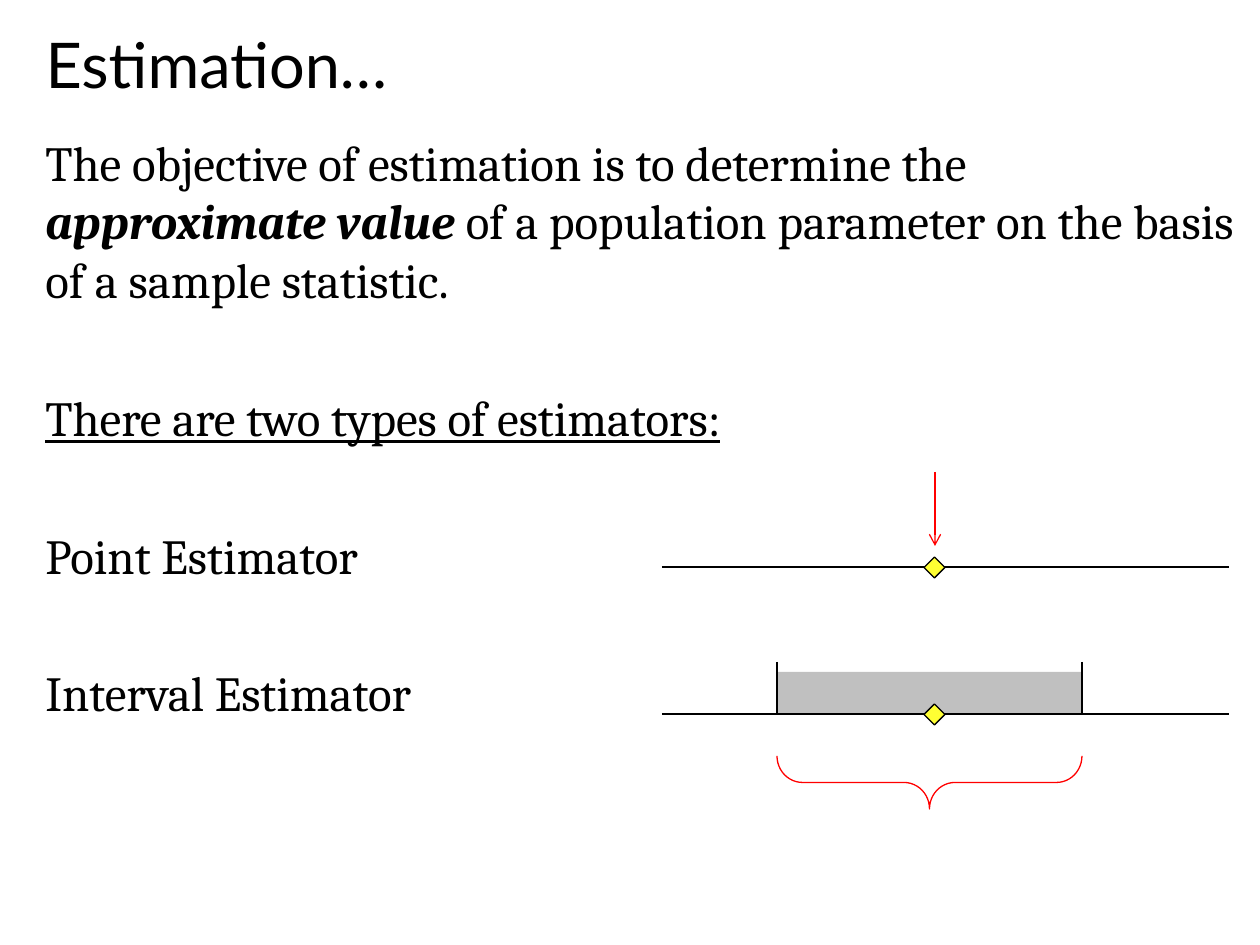
from dataclasses import dataclass

from lxml import etree
from pptx import Presentation
from pptx import util as u
from pptx.dml import color
from pptx.enum import shapes, text
from pptx.oxml import ns

PIXEL = u.Inches(1) // 126
BLACK, RED, YELLOW, GRAY = "000000", "FF0000", "FFFF33", "C0C0C0"
AXIS_LEFT, AXIS_RIGHT = 662, 1229
INTERVAL_LEFT, INTERVAL_RIGHT = 777, 1082
POINT_AXIS, INTERVAL_AXIS = 567, 714
ESTIMATE, DIAMOND = 935, 21


@dataclass
class Line:
    x1: int
    y1: int
    x2: int
    y2: int
    hue: str = BLACK
    arrow: bool = False


@dataclass
class Figure:
    kind: shapes.MSO_SHAPE
    left: int
    top: int
    width: int
    height: int
    fill: str | None = None
    line: str | None = None
    rotation: int = 0
    adjustments: tuple[float, ...] = ()


def px(*lengths: int) -> list[int]:
    return [length * PIXEL for length in lengths]


def rgb(value: str) -> color.RGBColor:
    return color.RGBColor.from_string(value)


def add_span(para, words: str, *, font="Cambria", size=28, hue=BLACK,
             bold=False, italic=False, underline=False) -> None:
    span = para.add_run()
    span.text = words
    span.font.name = font
    span.font.size = u.Pt(size)
    span.font.color.rgb = rgb(hue)
    span.font.bold = bold
    span.font.italic = italic
    span.font.underline = underline


def draw_line(page, line: Line) -> None:
    connector = page.shapes.add_connector(
        shapes.MSO_CONNECTOR.STRAIGHT, *px(line.x1, line.y1, line.x2, line.y2))
    connector.line.color.rgb = rgb(line.hue)
    connector.line.width = u.Pt(0.75)
    if line.arrow:
        etree.SubElement(connector.line._get_or_add_ln(), ns.qn("a:tailEnd"), type="arrow")
    etree.SubElement(connector._element.spPr, ns.qn("a:effectLst"))


def draw_figure(page, figure: Figure) -> None:
    shape = page.shapes.add_shape(
        figure.kind, *px(figure.left, figure.top, figure.width, figure.height))
    shape.shadow.inherit = False
    shape.rotation = figure.rotation
    for index, value in enumerate(figure.adjustments):
        shape.adjustments[index] = value
    if figure.fill:
        shape.fill.solid()
        shape.fill.fore_color.rgb = rgb(figure.fill)
    else:
        shape.fill.background()
    if figure.line:
        shape.line.color.rgb = rgb(figure.line)
        shape.line.width = u.Pt(0.75)
    else:
        shape.line.fill.background()


def axis(y: int) -> Line:
    return Line(AXIS_LEFT, y, AXIS_RIGHT, y)


def marker(y: int) -> Figure:
    return Figure(shapes.MSO_SHAPE.DIAMOND, ESTIMATE - DIAMOND // 2 - 1,
                  y - DIAMOND // 2, DIAMOND, DIAMOND, YELLOW, BLACK)


def limit(x: int) -> Line:
    return Line(x, 662, x, INTERVAL_AXIS)


PARAGRAPHS = [
    [("The objective of estimation is to determine the ", {}),
     ("approximate value", {"bold": True, "italic": True}),
     (" of a population parameter on the basis of a sample statistic.", {})],
    [("There are two types of estimators:", {"underline": True})],
    [("Point Estimator", {})],
    [("Interval Estimator", {})],
]

DRAWING = [
    axis(POINT_AXIS),
    Line(ESTIMATE, 472, ESTIMATE, 546, RED, arrow=True),
    marker(POINT_AXIS),
    Figure(shapes.MSO_SHAPE.RECTANGLE, INTERVAL_LEFT, 672,
           INTERVAL_RIGHT - INTERVAL_LEFT, INTERVAL_AXIS - 672, GRAY),
    limit(INTERVAL_LEFT),
    limit(INTERVAL_RIGHT),
    axis(INTERVAL_AXIS),
    marker(INTERVAL_AXIS),
    Figure(shapes.MSO_SHAPE.RIGHT_BRACE, 903, 630, 53, INTERVAL_RIGHT - INTERVAL_LEFT,
           line=RED, rotation=90, adjustments=(0.48, 0.5)),
]


def main() -> None:
    deck = Presentation()
    deck.slide_width, deck.slide_height = px(1260, 945)
    page = deck.slides.add_slide(deck.slide_layouts[5])

    title = page.shapes.title
    title.left, title.top, title.width, title.height = px(33, 21, 1207, 84)
    title.text_frame.vertical_anchor = text.MSO_ANCHOR.MIDDLE
    heading = title.text_frame.paragraphs[0]
    heading.alignment = text.PP_ALIGN.LEFT
    add_span(heading, "Estimation…", font="Lato", size=36)

    box = page.shapes.add_textbox(*px(33, 126, 1227, 756))
    box.text_frame.word_wrap = True
    for index, spans in enumerate(PARAGRAPHS):
        para = box.text_frame.add_paragraph() if index else box.text_frame.paragraphs[0]
        para.space_before = u.Pt(45 if index else 5.6)
        for words, style in spans:
            add_span(para, words, **style)

    for item in DRAWING:
        if isinstance(item, Line):
            draw_line(page, item)
        else:
            draw_figure(page, item)

    deck.save("out.pptx")


main()
